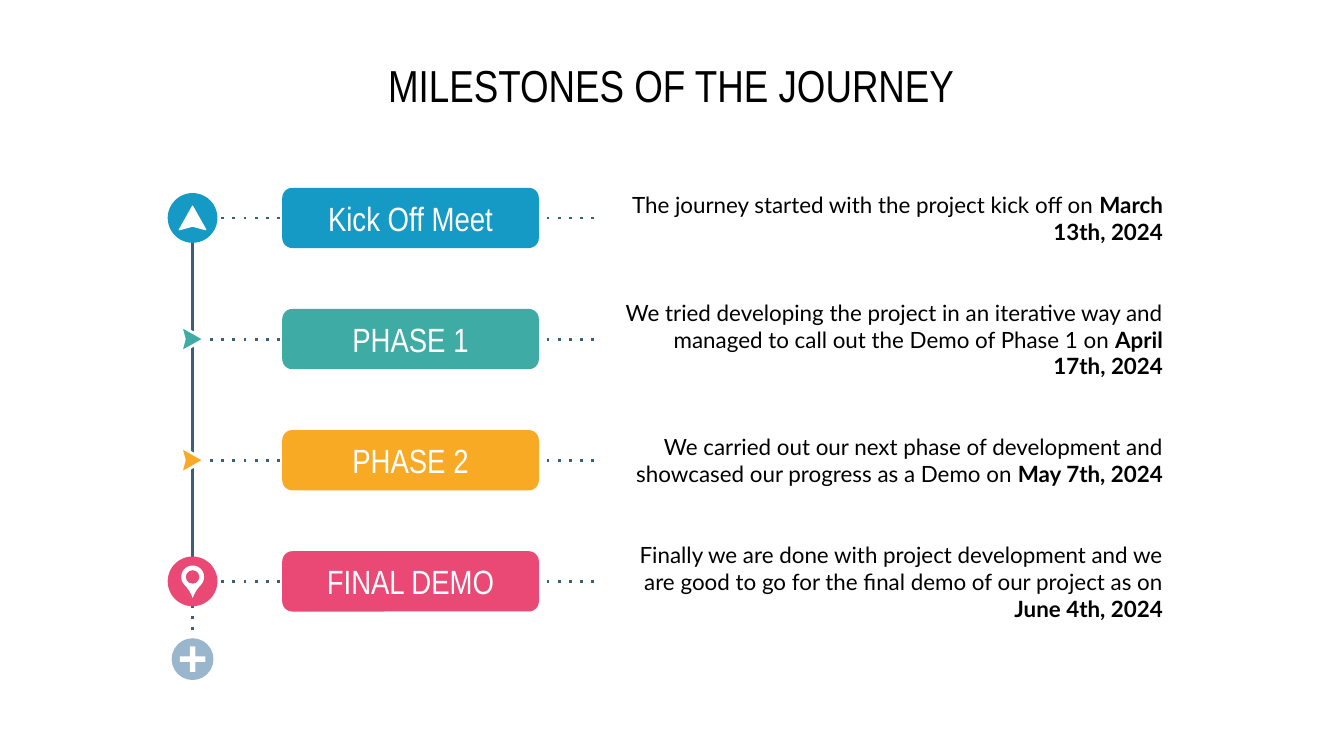
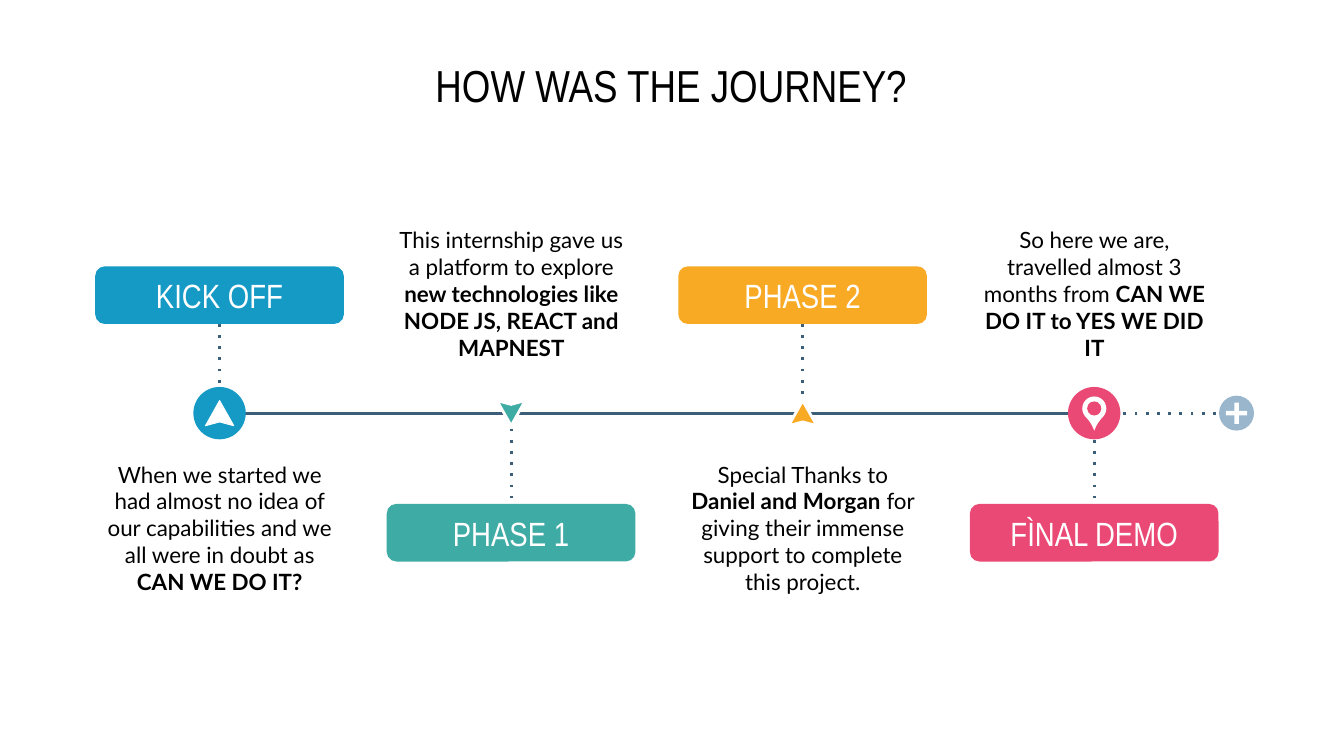
"""Build two timeline slides about the milestones and the course of a project."""
from lxml import etree
from pptx import Presentation
from pptx.dml.color import RGBColor
from pptx.enum.shapes import MSO_CONNECTOR, MSO_SHAPE
from pptx.enum.text import MSO_ANCHOR, PP_ALIGN
from pptx.oxml.ns import qn
from pptx.util import Cm, Pt

STRAIGHT = MSO_CONNECTOR.STRAIGHT
OVAL, BAR = MSO_SHAPE.OVAL, MSO_SHAPE.RECTANGLE
PILL, TEAR = MSO_SHAPE.ROUNDED_RECTANGLE, MSO_SHAPE.TEAR
TOP, MIDDLE, BOTTOM = MSO_ANCHOR.TOP, MSO_ANCHOR.MIDDLE, MSO_ANCHOR.BOTTOM
CENTER, RIGHT = PP_ALIGN.CENTER, PP_ALIGN.RIGHT

COLORS = {
    "start": "159AC6", "phase1": "3FABA5", "phase2": "F8AA25", "final": "E94974",
    "line": "3C5F79", "plus": "99B6CC", "white": "FFFFFF", "black": "000000",
}
HEADING_FONT, BODY_FONT = "Arial Narrow", "Lato"
UP, TURN_RIGHT, DOWN = 0, 90, 180


def color(name):
    return RGBColor.from_string(COLORS[name])


class Timeline:
    """Hold the deck, the current page and the marker size, all lengths in cm."""

    def __init__(self):
        self.deck = Presentation()
        self.deck.slide_width, self.deck.slide_height = Cm(25.4), Cm(14.29)
        self.page = None
        self.marker = 0

    def new_page(self, title, marker):
        self.page = self.deck.slides.add_slide(self.deck.slide_layouts[6])
        self.marker = marker
        self.text(5.89, 1.07, 13.59, 1.07, [title], MIDDLE, CENTER, HEADING_FONT, 24)

    def add_words(self, shape, spans, anchor, align, font, size, ink):
        frame = shape.text_frame
        frame.word_wrap = True
        frame.vertical_anchor = anchor
        frame.margin_left = frame.margin_right = Cm(0.25)
        frame.margin_top = frame.margin_bottom = Cm(0.25)
        para = frame.paragraphs[0]
        para.alignment = align
        for index, words in enumerate(spans):
            span = para.add_run()
            span.text = words
            span.font.name, span.font.size = font, Pt(size)
            span.font.bold = index % 2 == 1
            span.font.color.rgb = color(ink)

    def text(self, left, top, width, height, spans, anchor, align,
             font=BODY_FONT, size=12):
        box = self.page.shapes.add_textbox(Cm(left), Cm(top), Cm(width), Cm(height))
        self.add_words(box, spans, anchor, align, font, size, "black")

    def shape(self, kind, x, y, width, height, fill):
        """Add a preset shape centred on x, y."""
        shape = self.page.shapes.add_shape(
            kind, Cm(x - width / 2), Cm(y - height / 2), Cm(width), Cm(height))
        shape.shadow.inherit = False
        shape.fill.solid()
        shape.fill.fore_color.rgb = color(fill)
        shape.line.fill.background()
        return shape

    def pill(self, x, y, width, height, label, fill):
        pill = self.shape(PILL, x, y, width, height, fill)
        pill.adjustments[0] = 0.167
        self.add_words(pill, [label], MIDDLE, CENTER, HEADING_FONT, 18, "white")

    def line(self, x1, y1, x2, y2, dotted=True):
        line = self.page.shapes.add_connector(
            STRAIGHT, Cm(x1), Cm(y1), Cm(x2), Cm(y2))
        line.line.width = Pt(1.5)
        line.line.color.rgb = color("line")
        properties = line._element.spPr
        if dotted:
            outline = properties.find(qn("a:ln"))
            etree.SubElement(outline, qn("a:prstDash")).set("val", "dot")
        etree.SubElement(properties, qn("a:effectLst"))

    def arrow(self, x, y, fill, turn=UP, outline=1.5):
        half = 0.27 * self.marker
        rise = 0.89 * half
        corners = [(half, rise), (0, 0.7 * rise), (-half, rise)]
        builder = self.page.shapes.build_freeform(Cm(x), Cm(y - rise))
        builder.add_line_segments([(Cm(x + dx), Cm(y + dy)) for dx, dy in corners])
        arrow = builder.convert_to_shape()
        arrow.shadow.inherit = False
        arrow.rotation = turn
        arrow.fill.solid()
        arrow.fill.fore_color.rgb = color(fill)
        arrow.line.color.rgb = color("white")
        arrow.line.width = Pt(outline)

    def start(self, x, y):
        self.shape(OVAL, x, y, self.marker, self.marker, "start")
        self.arrow(x, y, "white", outline=0.5)

    def pin(self, x, y):
        size = self.marker
        self.shape(OVAL, x, y, size, size, "final")
        head = y - 0.09 * size
        drop = self.shape(TEAR, x, head, 0.46 * size, 0.46 * size, "white")
        drop.adjustments[0] = 1.3
        drop.rotation = 135
        self.shape(OVAL, x, head, 0.27 * size, 0.27 * size, "final")

    def plus(self, x, y, size):
        self.shape(OVAL, x, y, size, size, "plus")
        length, thickness = 0.61 * size, 0.13 * size
        self.shape(BAR, x, y, length, thickness, "white")
        self.shape(BAR, x, y, thickness, length, "white")

    def step(self, x, y, name, turn):
        if name == "start":
            self.start(x, y)
        elif name == "final":
            self.pin(x, y)
        else:
            self.arrow(x, y, name, turn)


MILESTONES = [
    ("start", "Kick Off Meet",
     ["The journey started with the project kick off on ", "March 13th, 2024"]),
    ("phase1", "PHASE 1",
     ["We tried developing the project in an iterative way and managed to call out "
      "the Demo of Phase 1 on ", "April 17th, 2024"]),
    ("phase2", "PHASE 2",
     ["We carried out our next phase of development and showcased our progress as "
      "a Demo on ", "May 7th, 2024"]),
    ("final", "FINAL DEMO",
     ["Finally we are done with project development and we are good to go for the "
      "final demo of our project as on ", "June 4th, 2024"]),
]

JOURNEY = [
    ("start", "KICK OFF", True,
     ["When we started we had almost no idea of our capabilities and we all were in "
      "doubt as ", "CAN WE DO IT?"]),
    ("phase1", "PHASE 1", False,
     ["This internship gave us a platform to explore ",
      "new technologies like NODE JS, REACT and MAPNEST"]),
    ("phase2", "PHASE 2", True,
     ["Special Thanks to ", "Daniel and Morgan",
      " for giving their immense support to complete this project."]),
    ("final", "FÌNAL DEMO", False,
     ["So here we are, travelled almost 3 months from ",
      "CAN WE DO IT to YES WE DID IT"]),
]


def build_milestones(timeline):
    timeline.new_page("MILESTONES OF THE JOURNEY", 0.94)
    axis, first, gap = 3.64, 4.12, 2.29
    timeline.line(axis, 12.55, axis, 11.2)
    timeline.plus(axis, 12.46, 0.79)
    timeline.line(axis, first, axis, 11.13, dotted=False)
    for index, (name, label, spans) in enumerate(MILESTONES):
        y = first + index * gap
        timeline.line(11.23, y, axis, y)
        timeline.step(axis, y, name, TURN_RIGHT)
        timeline.pill(7.76, y, 4.85, 1.14, label, name)
        timeline.text(11.46, y - 0.76, 10.77, 1.52, spans, MIDDLE, RIGHT)


def build_journey(timeline):
    timeline.new_page("HOW WAS THE JOURNEY?", 0.99)
    axis, first, gap = 7.81, 4.15, 5.51
    timeline.line(23.19, axis, 21.21, axis)
    timeline.plus(23.37, axis, 0.66)
    timeline.line(first, axis, 20.73, axis, dotted=False)
    for index, (name, label, label_above, spans) in enumerate(JOURNEY):
        x = first + index * gap
        line_top, pill_y, text_top, anchor, turn = (
            (6.12, 5.58, 8.46, TOP, UP) if label_above
            else (8.1, 10.07, 3.77, BOTTOM, DOWN))
        timeline.line(x, line_top, x, line_top + 1.32)
        timeline.step(x, axis, name, turn)
        timeline.pill(x, pill_y, 4.7, 1.09, label, name)
        timeline.text(x - 2.46, text_top, 4.93, 3.3, spans, anchor, CENTER)


def main():
    timeline = Timeline()
    build_milestones(timeline)
    build_journey(timeline)
    timeline.deck.save("out.pptx")


if __name__ == "__main__":
    main()
